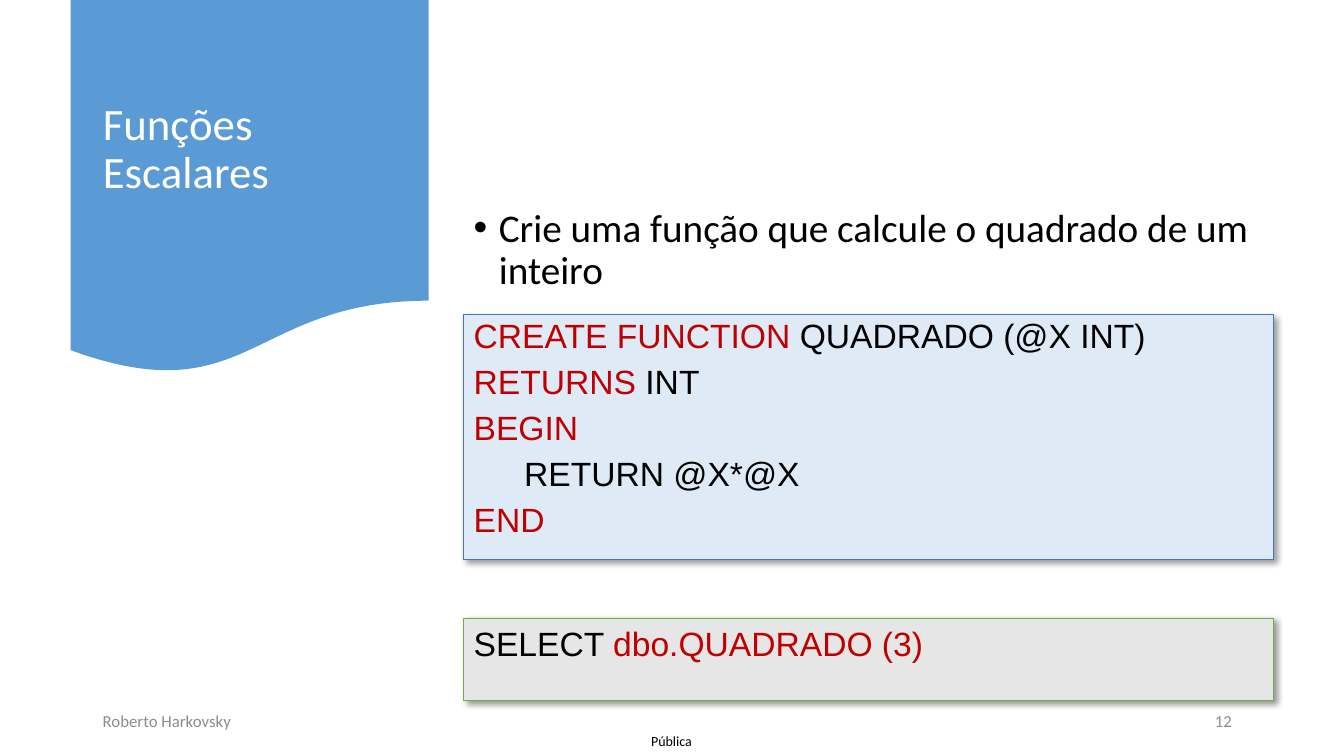
"""Builds the slide on scalar functions with its SQL example."""
from dataclasses import dataclass

import lxml.etree
import pptx
import pptx.dml.color
import pptx.enum.shapes
import pptx.enum.text
import pptx.oxml
import pptx.oxml.ns
import pptx.util

Inches = pptx.util.Inches
Pt = pptx.util.Pt
ANCHOR = pptx.enum.text.MSO_ANCHOR
ALIGN = pptx.enum.text.PP_ALIGN
SHAPE = pptx.enum.shapes.MSO_SHAPE

COLORS = {
    "banner": "5B9BD5",
    "code_fill": "DEEBF7",
    "code_line": "4472C4",
    "query_fill": "E7E6E6",
    "query_line": "70AD47",
    "keyword": "C00000",
    "black": "000000",
    "white": "FFFFFF",
    "footer": "8C8C8C",
}


@dataclass(frozen=True)
class Box:
    left: float
    top: float
    width: float
    height: float

    def lengths(self) -> list:
        return [Inches(v) for v in (self.left, self.top, self.width, self.height)]


@dataclass(frozen=True)
class CodePanel:
    box: Box
    fill: str
    line: str
    line_spacing: float
    lines: list


@dataclass(frozen=True)
class Label:
    text: str
    box: Box
    size: int
    color: str
    anchor: ANCHOR = ANCHOR.MIDDLE
    align: ALIGN = ALIGN.LEFT
    inset: bool = True
    bullet: bool = False


CONTENT_LEFT, CONTENT_WIDTH = 4.6, 8.03
FOOTER_TOP, FOOTER_HEIGHT = 6.95, 0.4

PANELS = [
    CodePanel(Box(CONTENT_LEFT, 3.12, CONTENT_WIDTH, 2.43), "code_fill", "code_line", 0.9, [
        [("CREATE FUNCTION ", "keyword"), ("QUADRADO (@X INT)", "black")],
        [("RETURNS", "keyword"), (" INT", "black")],
        [("BEGIN", "keyword")],
        [("\tRETURN @X*@X", "black")],
        [("END", "keyword")],
    ]),
    CodePanel(Box(CONTENT_LEFT, 6.13, CONTENT_WIDTH, 0.82), "query_fill", "query_line", 1.0, [
        [("SELECT ", "black"), ("dbo.QUADRADO (3)", "keyword")],
    ]),
]

LABELS = [
    Label("Crie uma função que calcule o quadrado de um inteiro",
          Box(CONTENT_LEFT, 2.02, CONTENT_WIDTH, 1.34), 28, "black", ANCHOR.TOP, bullet=True),
    Label("Roberto Harkovsky", Box(0.92, FOOTER_TOP, 6.52, FOOTER_HEIGHT), 12, "footer"),
    Label("12", Box(11.95, FOOTER_TOP, 0.68, FOOTER_HEIGHT), 12, "footer"),
    Label("Pública", Box(6.31, 7.21, 0.7, 0.29), 10, "black", align=ALIGN.CENTER, inset=False),
]


def rgb(name: str) -> pptx.dml.color.RGBColor:
    return pptx.dml.color.RGBColor.from_string(COLORS[name])


def format_run(run, font: str, size: int, color: str) -> None:
    run.font.name = font
    run.font.size = Pt(size)
    run.font.color.rgb = rgb(color)


def add_shadow(shape) -> None:
    namespace = pptx.oxml.ns.nsdecls("a")
    effects = shape.element.spPr.find(pptx.oxml.ns.qn("a:effectLst"))
    effects.append(pptx.oxml.parse_xml(
        f'<a:outerShdw {namespace} blurRad="{Pt(4)}" dist="{Pt(3)}" dir="2700000" '
        f'algn="tl" rotWithShape="0"><a:srgbClr val="{COLORS["black"]}">'
        '<a:alpha val="40000"/></a:srgbClr></a:outerShdw>'))


def add_bullet(paragraph) -> None:
    properties = paragraph._p.get_or_add_pPr()
    properties.set("marL", str(Inches(0.25)))
    properties.set("indent", str(Inches(-0.25)))
    for tag, name, value in (("buFont", "typeface", "Arial"), ("buChar", "char", "•")):
        bullet = lxml.etree.SubElement(properties, pptx.oxml.ns.qn(f"a:{tag}"))
        bullet.set(name, value)


def add_filled_shape(slide, kind: SHAPE, box: Box, fill: str):
    shape = slide.shapes.add_shape(kind, *box.lengths())
    shape.shadow.inherit = False
    shape.fill.solid()
    shape.fill.fore_color.rgb = rgb(fill)
    shape.line.fill.background()
    return shape


def add_panel(slide, panel: CodePanel) -> None:
    shape = add_filled_shape(slide, SHAPE.RECTANGLE, panel.box, panel.fill)
    shape.line.color.rgb = rgb(panel.line)
    shape.line.width = Pt(0.5)
    add_shadow(shape)
    frame = shape.text_frame
    frame.word_wrap = True
    frame.vertical_anchor = ANCHOR.TOP
    for index, line in enumerate(panel.lines):
        paragraph = frame.add_paragraph() if index else frame.paragraphs[0]
        paragraph.alignment = ALIGN.LEFT
        paragraph.line_spacing = panel.line_spacing
        paragraph.space_after = Pt(7)
        for text, color in line:
            run = paragraph.add_run()
            run.text = text
            format_run(run, "Arial", 24, color)


def write_label(shape, label: Label) -> None:
    shape.left, shape.top, shape.width, shape.height = label.box.lengths()
    frame = shape.text_frame
    frame.text = label.text
    frame.word_wrap = True
    frame.auto_size = pptx.enum.text.MSO_AUTO_SIZE.NONE
    frame.vertical_anchor = label.anchor
    if not label.inset:
        frame.margin_left = frame.margin_right = frame.margin_top = frame.margin_bottom = 0
    paragraph = frame.paragraphs[0]
    paragraph.alignment = label.align
    if label.size > 12:
        paragraph.line_spacing = 0.9
    if label.bullet:
        paragraph.space_before = Pt(10)
        add_bullet(paragraph)
    format_run(paragraph.runs[0], "Calibri", label.size, label.color)


def main() -> None:
    presentation = pptx.Presentation()
    presentation.slide_width = Inches(13.33)
    presentation.slide_height = Inches(7.5)
    slide = presentation.slides.add_slide(presentation.slide_layouts[5])
    title = slide.shapes.title
    banner = add_filled_shape(slide, SHAPE.FLOWCHART_DOCUMENT, Box(0.7, 0, 3.55, 3.72), "banner")
    title.element.addprevious(banner.element)
    write_label(title, Label("Funções Escalares", Box(0.92, 0.19, 3.11, 2.59), 32, "white"))
    for panel in PANELS:
        add_panel(slide, panel)
    for label in LABELS:
        write_label(slide.shapes.add_textbox(*label.box.lengths()), label)
    presentation.save("out.pptx")


main()
